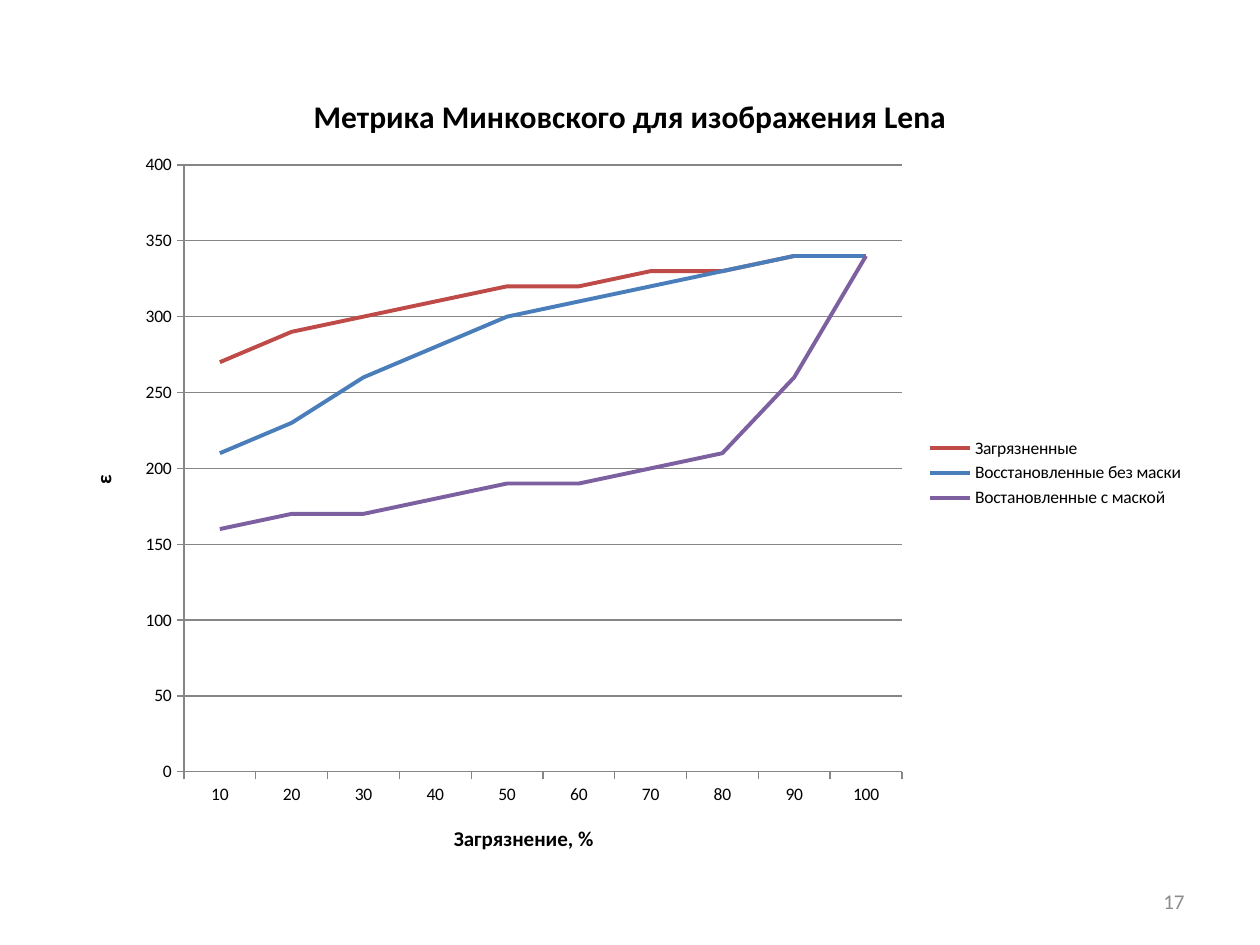
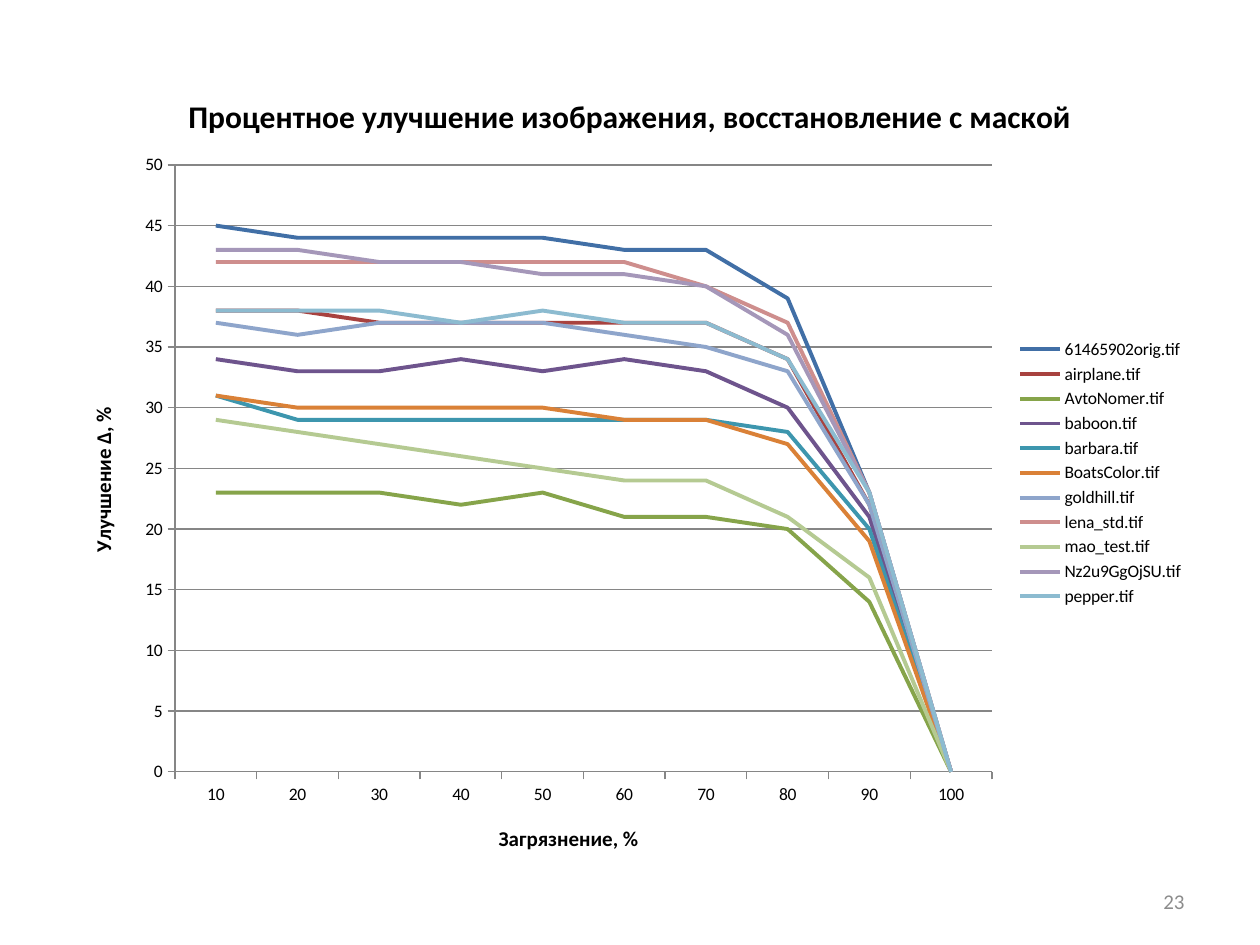
from lxml import etree
from pptx import Presentation
from pptx import util as u
from pptx.chart.data import CategoryChartData
from pptx.dml.color import RGBColor
from pptx.enum import chart as ch
from pptx.enum import text as tx
from pptx.oxml import ns

# Shared style
SCALE = 914400 / 126
FONT = "Calibri"
BLACK, GREY, PAGE = "000000", "868686", "8C8C8C"
FRAME = (63, 66, 1134, 814)
LEVELS = [str(n) for n in range(10, 101, 10)]
LEVEL_NAME = "Загрязнение, %"

# Series: name, line colour, values
LENA = [
    ("Загрязненные", "BE4B48",
     (270, 290, 300, 310, 320, 320, 330, 330, 340, 340)),
    ("Восстановленные без маски", "4A7EBB",
     (210, 230, 260, 280, 300, 310, 320, 330, 340, 340)),
    ("Востановленные с маской", "7D60A0",
     (160, 170, 170, 180, 190, 190, 200, 210, 260, 340)),
]
GAINS = [
    ("61465902orig.tif", "416FA6", (45, 44, 44, 44, 44, 43, 43, 39, 23, 0)),
    ("airplane.tif", "A8423F", (38, 38, 37, 37, 37, 37, 37, 34, 22, 0)),
    ("AvtoNomer.tif", "86A44A", (23, 23, 23, 22, 23, 21, 21, 20, 14, 0)),
    ("baboon.tif", "6E548D", (34, 33, 33, 34, 33, 34, 33, 30, 21, 0)),
    ("barbara.tif", "3D96AE", (31, 29, 29, 29, 29, 29, 29, 28, 20, 0)),
    ("BoatsColor.tif", "DA8137", (31, 30, 30, 30, 30, 29, 29, 27, 19, 0)),
    ("goldhill.tif", "8EA5CB", (37, 36, 37, 37, 37, 36, 35, 33, 22, 0)),
    ("lena_std.tif", "CE8E8D", (42, 42, 42, 42, 42, 42, 40, 37, 23, 0)),
    ("mao_test.tif", "B5CA92", (29, 28, 27, 26, 25, 24, 24, 21, 16, 0)),
    ("Nz2u9GgOjSU.tif", "A597B9", (43, 43, 42, 42, 41, 41, 40, 36, 23, 0)),
    ("pepper.tif", "8CBBD0", (38, 38, 38, 37, 38, 37, 37, 34, 23, 0)),
]


def px(*vals):
    return [u.Emu(round(v * SCALE)) for v in vals]


def color(code):
    return RGBColor.from_string(code)


def style(font, size, code=BLACK, bold=False, name=FONT):
    font.name, font.size, font.bold = name, u.Pt(size), bold
    font.color.rgb = color(code)


def stroke(line, code, width):
    line.color.rgb = color(code)
    line.width = u.Pt(width)


def caption(frame, words, size, name=FONT):
    para = frame.paragraphs[0]
    para.text = words
    style(para.font, size, bold=True, name=name)
    return para


def set_axis(axis, name):
    axis.major_tick_mark = ch.XL_TICK_MARK.OUTSIDE
    axis.minor_tick_mark = ch.XL_TICK_MARK.NONE
    stroke(axis.format.line, GREY, 0.75)
    style(axis.tick_labels.font, 10)
    return caption(axis.axis_title.text_frame, name, 12)


def place_plot(chart, left, top, width, height):
    """Fix the inner plot area, given in slide px."""
    x, y, wide, high = FRAME
    area = chart.element.find(".//" + ns.qn("c:plotArea"))
    for old in area.findall(ns.qn("c:layout")):
        area.remove(old)
    layout = etree.Element(ns.qn("c:layout"))
    area.insert(0, layout)
    manual = etree.SubElement(layout, ns.qn("c:manualLayout"))
    parts = {"layoutTarget": "inner", "xMode": "edge", "yMode": "edge",
             "x": (left - x) / wide, "y": (top - y) / high,
             "w": width / wide, "h": height / high}
    for tag, val in parts.items():
        etree.SubElement(manual, ns.qn("c:" + tag)).set("val", str(val))


def add_lines(slide, title, unit, top, step, plot, rows):
    data = CategoryChartData(number_format="General")
    data.categories = LEVELS
    for name, _, vals in rows:
        data.add_series(name, vals)
    chart = slide.shapes.add_chart(
        ch.XL_CHART_TYPE.LINE, *px(*FRAME), data).chart
    style(chart.font, 10)
    caption(chart.chart_title.text_frame, title, 18, name=None)
    chart.chart_title.include_in_layout = False
    place_plot(chart, *plot)

    # Axes, with the value name turned upright
    set_axis(chart.category_axis, LEVEL_NAME)
    axis = chart.value_axis
    para = set_axis(axis, unit)
    body = para._p.getparent()[0]
    body.set("rot", "-5400000")
    body.set("vert", "horz")
    axis.minimum_scale, axis.maximum_scale, axis.major_unit = 0, top, step
    axis.has_major_gridlines = True
    stroke(axis.major_gridlines.format.line, GREY, 0.75)

    # Legend and lines
    chart.has_legend = True
    chart.legend.position = ch.XL_LEGEND_POSITION.RIGHT
    chart.legend.include_in_layout = False
    style(chart.legend.font, 10)
    chart.plots[0].vary_by_categories = False
    for line, (_, code, _) in zip(chart.plots[0].series, rows):
        line.smooth = False
        line.marker.style = ch.XL_MARKER_STYLE.NONE
        stroke(line.format.line, code, 2.25)


def add_page(slide, num):
    frame = slide.shapes.add_textbox(*px(903, 876, 294, 50)).text_frame
    frame.word_wrap = True
    frame.vertical_anchor = tx.MSO_ANCHOR.MIDDLE
    para = frame.paragraphs[0]
    para.text = str(num)
    para.alignment = tx.PP_ALIGN.RIGHT
    style(para.font, 12, PAGE)


def main():
    deck = Presentation()
    deck.slide_width, deck.slide_height = px(1260, 945)
    pages = [
        (17, "Метрика Минковского для изображения Lena",
         "ε", 400, 50, (184, 165, 718, 607), LENA),
        (23, "Процентное улучшение изображения, восстановление с маской",
         "Улучшение Δ, %", 50, 5, (175, 165, 817, 607), GAINS),
    ]
    for num, *parts in pages:
        slide = deck.slides.add_slide(deck.slide_layouts[6])
        add_lines(slide, *parts)
        add_page(slide, num)
    deck.save("out.pptx")


if __name__ == "__main__":
    main()
